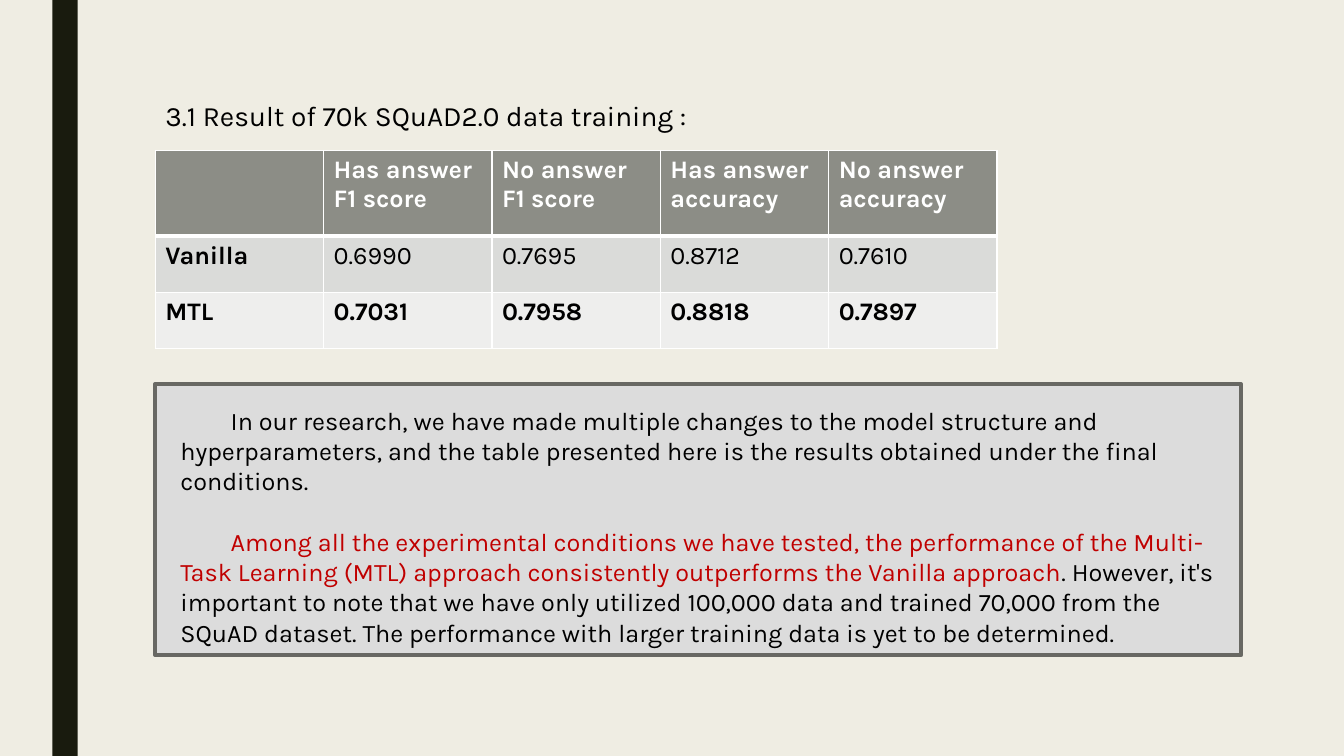
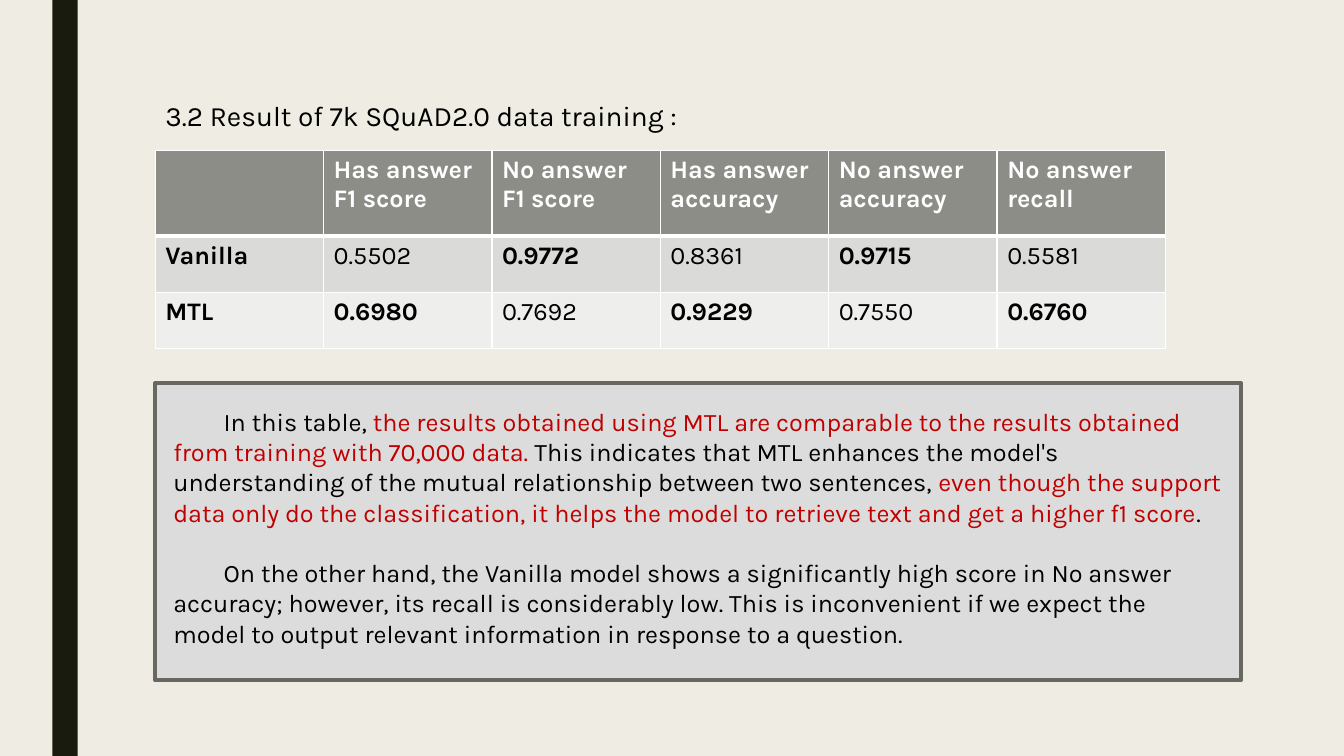
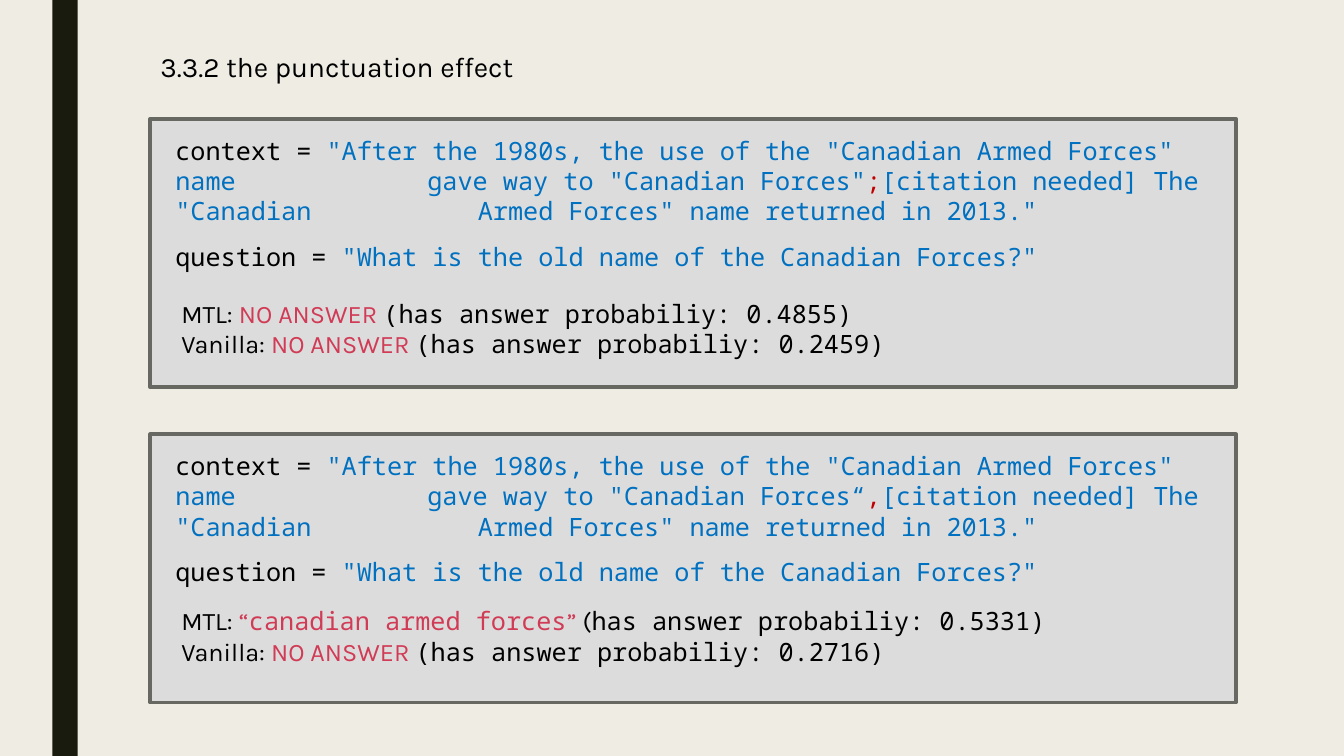
from dataclasses import dataclass

from lxml import etree
from pptx import Presentation
from pptx import util as u
from pptx.dml.color import RGBColor
from pptx.enum import shapes, text
from pptx.oxml import ns


@dataclass(frozen=True)
class Theme:
    """Colours, fonts and sizes that the slides share."""

    paper: str = "EFEDE3"
    band: str = "191B0E"
    panel: str = "DCDCDC"
    panel_edge: str = "686863"
    header: str = "8C8D86"
    stripes: tuple = ("DADBD9", "EEEEED")
    white: str = "FFFFFF"
    ink: str = "000000"
    red: str = "C00000"
    blue: str = "0070C0"
    rose: str = "D13B56"
    sans: str = "Karla"
    mono: str = "Noto Sans Mono"
    title_size: int = 20
    body_size: int = 18


THEME = Theme()
PLAIN = {}
RED = {"color": THEME.red}
ROSE = {"color": THEME.rose}
MONO = {"name": THEME.mono}
MONO_BLUE = {**MONO, "color": THEME.blue}
MONO_RED = {**MONO, "color": THEME.red}
MONO_ROSE = {**MONO, "color": THEME.rose}
ROW_HEIGHTS = (0.85, 0.56, 0.56)
COLUMN_WIDTH = 1.67


def inches(*lengths):
    """Turn lengths in inches into a list of slide lengths."""
    return [u.Inches(length) for length in lengths]


def set_values(target, values):
    """Set each named attribute of the target."""
    for name, value in values.items():
        setattr(target, name, value)


def set_font(font, color=THEME.ink, size=THEME.body_size, **values):
    """Format a font, starting from the body style."""
    set_values(font, {"name": THEME.sans, "size": u.Pt(size), **values})
    font.color.rgb = RGBColor.from_string(color)


def paint(fill, color):
    """Give a fill one solid colour."""
    fill.solid()
    fill.fore_color.rgb = RGBColor.from_string(color)


def add_rectangle(slide, box, color):
    """Draw a flat rectangle without an outline."""
    rectangle = slide.shapes.add_shape(shapes.MSO_SHAPE.RECTANGLE, *inches(*box))
    rectangle.shadow.inherit = False
    paint(rectangle.fill, color)
    rectangle.line.fill.background()
    return rectangle


def add_panel(slide, box):
    """Draw the grey outlined panel behind a passage."""
    panel = add_rectangle(slide, box, THEME.panel)
    paint(panel.line.fill, THEME.panel_edge)
    panel.line.width = u.Pt(2.75)


def add_title(slide, wording, left, top):
    """Place and format the title placeholder."""
    title = slide.shapes.title
    set_values(title, dict(zip(("left", "top", "width", "height"), inches(left, top, 6.67, 0.44))))
    frame = title.text_frame
    frame.text = wording
    set_values(frame, {
        "word_wrap": True,
        "auto_size": text.MSO_AUTO_SIZE.NONE,
        "vertical_anchor": text.MSO_ANCHOR.TOP,
    })
    heading = frame.paragraphs[0]
    heading.alignment = text.PP_ALIGN.LEFT
    set_font(heading.runs[0].font, size=THEME.title_size)


def add_passage(slide, box, passages):
    """Write paragraphs of (wording, style) runs and return the paragraphs."""
    frame = slide.shapes.add_textbox(*inches(*box)).text_frame
    set_values(frame, {"word_wrap": True, "auto_size": text.MSO_AUTO_SIZE.SHAPE_TO_FIT_TEXT})
    for index, passage in enumerate(passages):
        paragraph = frame.add_paragraph() if index else frame.paragraphs[0]
        for wording, style in passage:
            run = paragraph.add_run()
            run.text = wording
            set_font(run.font, **style)
    return frame.paragraphs


def add_cell_borders(cell, top, bottom):
    """Draw white cell borders with the given top and bottom widths."""
    properties = cell._tc.get_or_add_tcPr()
    for side, width in {"lnL": 1, "lnR": 1, "lnT": top, "lnB": bottom}.items():
        border = etree.SubElement(properties, ns.qn(f"a:{side}"), w=str(u.Pt(width)))
        solid = etree.SubElement(border, ns.qn("a:solidFill"))
        etree.SubElement(solid, ns.qn("a:srgbClr"), val=THEME.white)


def add_result_table(slide, left, top, rows, has_labels=True):
    """Build a score table where the best value of each column is bold."""
    columns = len(rows[0])
    box = (left, top, columns * COLUMN_WIDTH, sum(ROW_HEIGHTS))
    table = slide.shapes.add_table(len(rows), columns, *inches(*box)).table
    for column in table.columns:
        column.width = u.Inches(COLUMN_WIDTH)
    for row, height in zip(table.rows, ROW_HEIGHTS):
        row.height = u.Inches(height)
    best = [max(scores) for scores in zip(*rows[1:])]
    for r, values in enumerate(rows):
        for c, value in enumerate(values):
            cell = table.cell(r, c)
            cell.text = value
            add_cell_borders(cell, 3 if r == 1 else 1, 1 if r else 3)
            paint(cell.fill, THEME.stripes[r - 1] if r else THEME.header)
            is_bold = r == 0 or (has_labels and c == 0) or value == best[c]
            for paragraph in cell.text_frame.paragraphs:
                set_font(paragraph.font, THEME.ink if r else THEME.white, bold=is_bold)
                for run in paragraph.runs:
                    set_font(run.font, THEME.ink if r else THEME.white, bold=is_bold)


def add_discussion(slide, panel_box, text_box, passages):
    """Place a panel with indented, spaced paragraphs."""
    add_panel(slide, panel_box)
    for index, paragraph in enumerate(add_passage(slide, text_box, passages)):
        paragraph._p.get_or_add_pPr().set("indent", str(u.Inches(0.5)))
        paragraph.space_before = u.Pt(21.6 if index else 0)


def add_tab_stops(paragraph, stops):
    """Give a paragraph left tab stops at the given inches."""
    tabs = etree.SubElement(paragraph._p.get_or_add_pPr(), ns.qn("a:tabLst"))
    for stop in stops:
        etree.SubElement(tabs, ns.qn("a:tab"), pos=str(u.Inches(stop)), algn="l")


def add_example(slide, left, top, quote, mark, answers, answers_offset):
    """Place a panel with a context, its question and both models' answers."""
    add_panel(slide, (left, top, 10.77, 2.66))
    context, question = add_passage(slide, (left + 0.15, top + 0.11, 10.61, 1.42), [
        [
            ("context = ", MONO),
            ('"After the 1980s, the use of the "Canadian Armed Forces" name '
             f'\tgave way to "Canadian Forces{quote}', MONO_BLUE),
            (mark, MONO_RED),
            ('[citation needed] The "Canadian \t\tArmed Forces" name returned in 2013."', MONO_BLUE),
        ],
        [
            ("question = ", MONO),
            ('"What is the old name of the Canadian Forces?"', MONO_BLUE),
        ],
    ])
    add_tab_stops(context, (2.5, 3))
    question.line_spacing = 1.5
    add_passage(slide, (left + 0.21, top + answers_offset, 10.5, 0.71), answers)


def new_slide(deck):
    """Add a title-only slide."""
    return deck.slides.add_slide(deck.slide_layouts[5])


def style_master(deck, slide):
    """Put the background and the dark side band on the master."""
    master = deck.slide_master
    paint(master.background.fill, THEME.paper)
    band = add_rectangle(slide, (0.52, 0, 0.25, 7.5), THEME.band)
    band.element.nvSpPr.cNvPr.set("id", "99")
    master.shapes.element.insert(2, band.element)


def build_large_training(slide):
    """Build the slide on training with 70k data."""
    add_result_table(slide, 1.54, 1.49, [
        ("", "Has answer\nF1 score", "No answer\nF1 score", "Has answer accuracy", "No answer accuracy"),
        ("Vanilla", "0.6990", "0.7695", "0.8712", "0.7610"),
        ("MTL", "0.7031", "0.7958", "0.8818", "0.7897"),
    ])
    add_title(slide, "3.1 Result of 70k SQuAD2.0 data training :", 1.54, 0.93)
    add_discussion(slide, (1.54, 3.81, 10.77, 2.69), (1.69, 3.97, 10.61, 2.69), [
        [("In our research, we have made multiple changes to the model structure and hyperparameters, "
          "and the table presented here is the results obtained under the final conditions.", PLAIN)],
        [
            ("Among all the experimental conditions we have tested, the performance of the Multi-Task "
             "Learning (MTL) approach consistently outperforms the Vanilla approach", RED),
            (". However, it's important to note that we have only utilized 100,000 data and trained "
             "70,000 from the SQuAD dataset. The performance with larger training data is yet to be "
             "determined.", PLAIN),
        ],
    ])


def build_small_training(slide):
    """Build the slide on training with 7k data."""
    add_result_table(slide, 1.54, 1.49, [
        ("", "Has answer\nF1 score", "No answer\nF1 score", "Has answer accuracy", "No answer accuracy"),
        ("Vanilla", "0.5502", "0.9772", "0.8361", "0.9715"),
        ("MTL", "0.6980", "0.7692", "0.9229", "0.7550"),
    ])
    add_result_table(slide, 1.54 + 5 * COLUMN_WIDTH, 1.49,
                     [("No answer\nrecall",), ("0.5581",), ("0.6760",)], has_labels=False)
    add_title(slide, "3.2 Result of 7k SQuAD2.0 data training :", 1.54, 0.93)
    add_discussion(slide, (1.54, 3.8, 10.77, 2.95), (1.62, 3.98, 10.61, 2.52), [
        [
            ("In this table, ", PLAIN),
            ("the results obtained using MTL are comparable to the results obtained from training "
             "with 70,000 data.", RED),
            (" This indicates that MTL enhances the model's understanding of the mutual relationship "
             "between two sentences, ", PLAIN),
            ("even though the support data only do the classification, it helps the model to retrieve "
             "text and get a higher f1 score", RED),
            (".", PLAIN),
        ],
        [("On the other hand, the Vanilla model shows a significantly high score in No answer "
          "accuracy; however, its recall is considerably low. This is inconvenient if we expect the "
          "model to output relevant information in response to a question.", PLAIN)],
    ])


def no_answer(model, probability):
    """Return the runs for a model that finds no answer."""
    return [(f"{model}: ", PLAIN), ("NO ANSWER ", ROSE),
            (f"(has answer probabiliy: {probability})", MONO)]


def build_punctuation_effect(slide):
    """Build the slide that compares two punctuation marks."""
    add_title(slide, "3.3.2 the punctuation effect", 1.49, 0.44)
    add_example(slide, 1.49, 1.18, '"', ";",
                [no_answer("MTL", "0.4855"), no_answer("Vanilla", "0.2459")], 1.73)
    found = [("MTL: ", PLAIN), ("“", ROSE), ("canadian armed forces", MONO_ROSE), ("” ", ROSE),
             ("(", PLAIN), ("has answer probabiliy: 0.5331)", MONO)]
    add_example(slide, 1.49, 4.31, "“", ",", [found, no_answer("Vanilla", "0.2716")], 1.65)


def main():
    """Build the deck and save it."""
    deck = Presentation()
    set_values(deck, {"slide_width": u.Inches(13.33), "slide_height": u.Inches(7.5)})
    builders = (build_large_training, build_small_training, build_punctuation_effect)
    for index, build in enumerate(builders):
        slide = new_slide(deck)
        if index == 0:
            style_master(deck, slide)
        build(slide)
    deck.save("out.pptx")


main()
